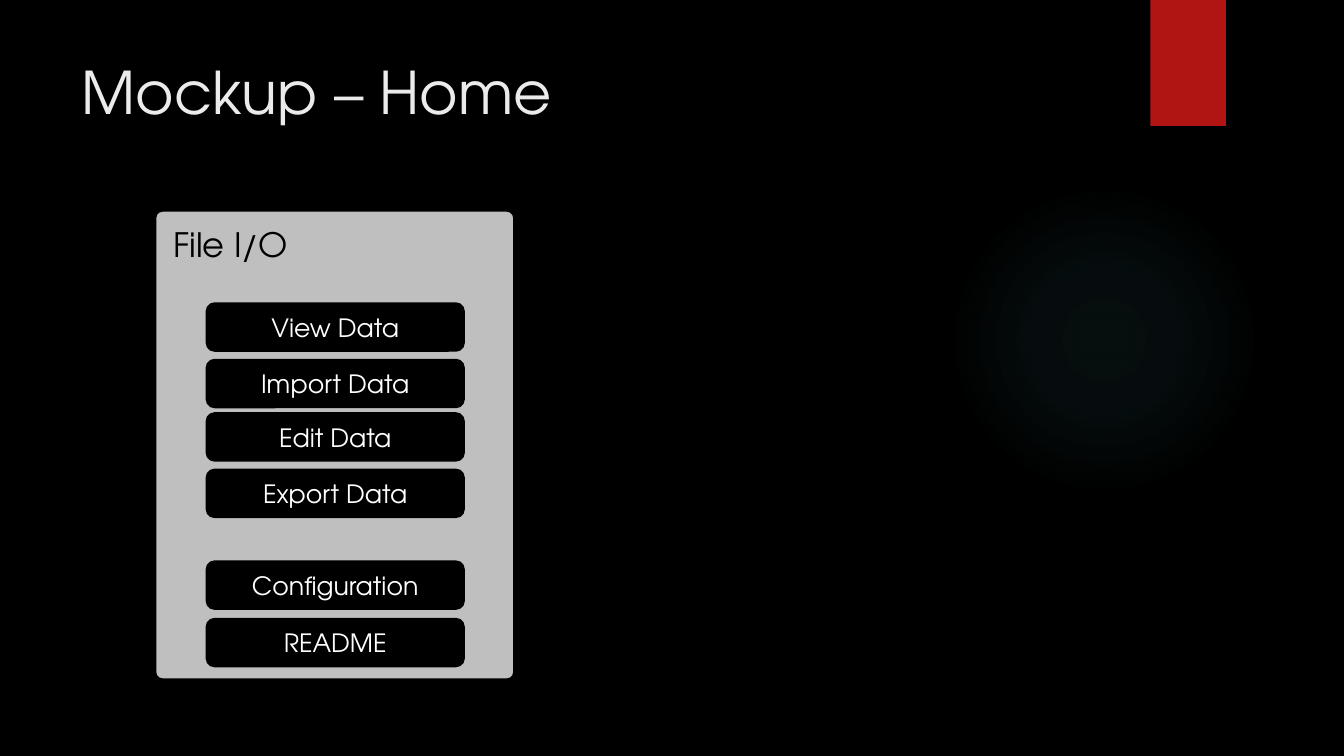
"""Build the Mockup - Home slide: a File I/O menu panel with buttons."""
import typing

import lxml.etree
import pptx
import pptx.dml.color
import pptx.enum.shapes
import pptx.enum.text
import pptx.oxml
import pptx.oxml.ns
import pptx.util

Inches = pptx.util.Inches
Kind = pptx.enum.shapes.MSO_SHAPE
Align = pptx.enum.text.PP_ALIGN
Anchor = pptx.enum.text.MSO_ANCHOR
Fit = pptx.enum.text.MSO_AUTO_SIZE
FONT = "TeX Gyre Adventor"


class Box(typing.NamedTuple):
    left: float
    top: float
    width: float
    height: float

    def place(self) -> list:
        return [Inches(side) for side in self]


class Button(typing.NamedTuple):
    label: str
    top: float


BUTTONS = [
    Button("View Data", 3.01),
    Button("Import Data", 3.57),
    Button("Edit Data", 4.1),
    Button("Export Data", 4.66),
    Button("Configuration", 5.57),
    Button("README", 6.14),
]


def paint(target, color: str) -> None:
    target.solid()
    target.fore_color.rgb = pptx.dml.color.RGBColor.from_string(color)


def write(shape, text: str, size: int, color: str, align=Align.LEFT, anchor=Anchor.TOP, fit=Fit.NONE) -> None:
    frame = shape.text_frame
    frame.text = text
    frame.word_wrap = True
    frame.auto_size = fit
    frame.vertical_anchor = anchor
    line = frame.paragraphs[0]
    line.alignment = align
    line.font.name = FONT
    line.font.size = pptx.util.Pt(size)
    paint(line.font.fill, color)


def draw(slide, kind, box: Box, fill: str, edge: str = ""):
    shape = slide.shapes.add_shape(kind, *box.place())
    shape.shadow.inherit = False
    paint(shape.fill, fill)
    if edge:
        paint(shape.line.fill, edge)
        shape.line.width = pptx.util.Pt(1.5)
    else:
        shape.line.fill.background()
    return shape


def glow(shape, color: str, stops: dict[int, int]) -> None:
    marks = "".join(
        f'<a:gs pos="{spot * 1000}"><a:srgbClr val="{color}"><a:alpha val="{alpha * 1000}"/></a:srgbClr></a:gs>'
        for spot, alpha in stops.items()
    )
    grad = pptx.oxml.parse_xml(
        f'<a:gradFill {pptx.oxml.ns.nsdecls("a")}><a:gsLst>{marks}</a:gsLst><a:path path="circle">'
        '<a:fillToRect l="50000" t="50000" r="50000" b="50000"/></a:path></a:gradFill>'
    )
    solid = shape.element.spPr.find(pptx.oxml.ns.qn("a:solidFill"))
    shape.element.spPr.replace(solid, grad)


def build() -> None:
    deck = pptx.Presentation()
    deck.slide_width, deck.slide_height = Inches(13.33), Inches(7.5)
    slide = deck.slides.add_slide(deck.slide_layouts[5])
    paint(slide.background.fill, "000000")

    halo = draw(slide, Kind.OVAL, Box(9.41, 1.83, 3.08, 3.08), "50B9C1")
    glow(halo, "50B9C1", {0: 7, 36: 6, 69: 0})
    draw(slide, Kind.RECTANGLE, Box(11.41, 0, 0.75, 1.25), "B01513")

    title = slide.shapes.title
    title.left, title.top, title.width, title.height = Box(0.71, 0.5, 10.29, 1.53).place()
    write(title, "Mockup – Home", 42, "EBEBEB")

    panel = draw(slide, Kind.ROUNDED_RECTANGLE, Box(1.54, 2.09, 3.56, 4.65), "BFBFBF", "000000")
    panel.adjustments[0] = 0.02
    head = slide.shapes.add_textbox(*Box(1.62, 2.17, 2.13, 0.5).place())
    write(head, "File I/O", 24, "000000", fit=Fit.SHAPE_TO_FIT_TEXT)

    for label, top in BUTTONS:
        button = draw(slide, Kind.ROUNDED_RECTANGLE, Box(2.05, top, 2.55, 0.47), "000000", "000000")
        write(button, label, 18, "FFFFFF", Align.CENTER, Anchor.MIDDLE)

    deck.save("out.pptx")


build()
